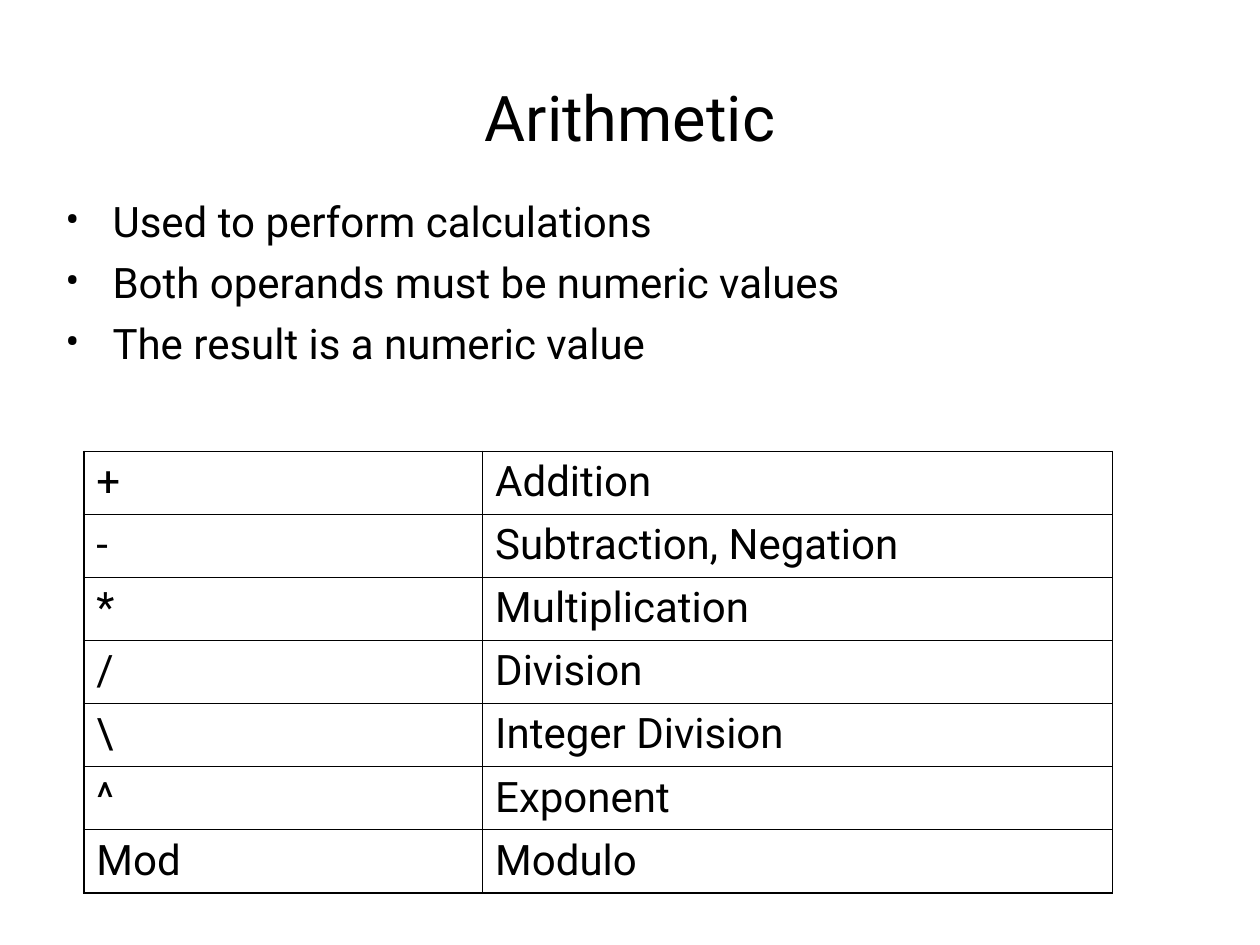
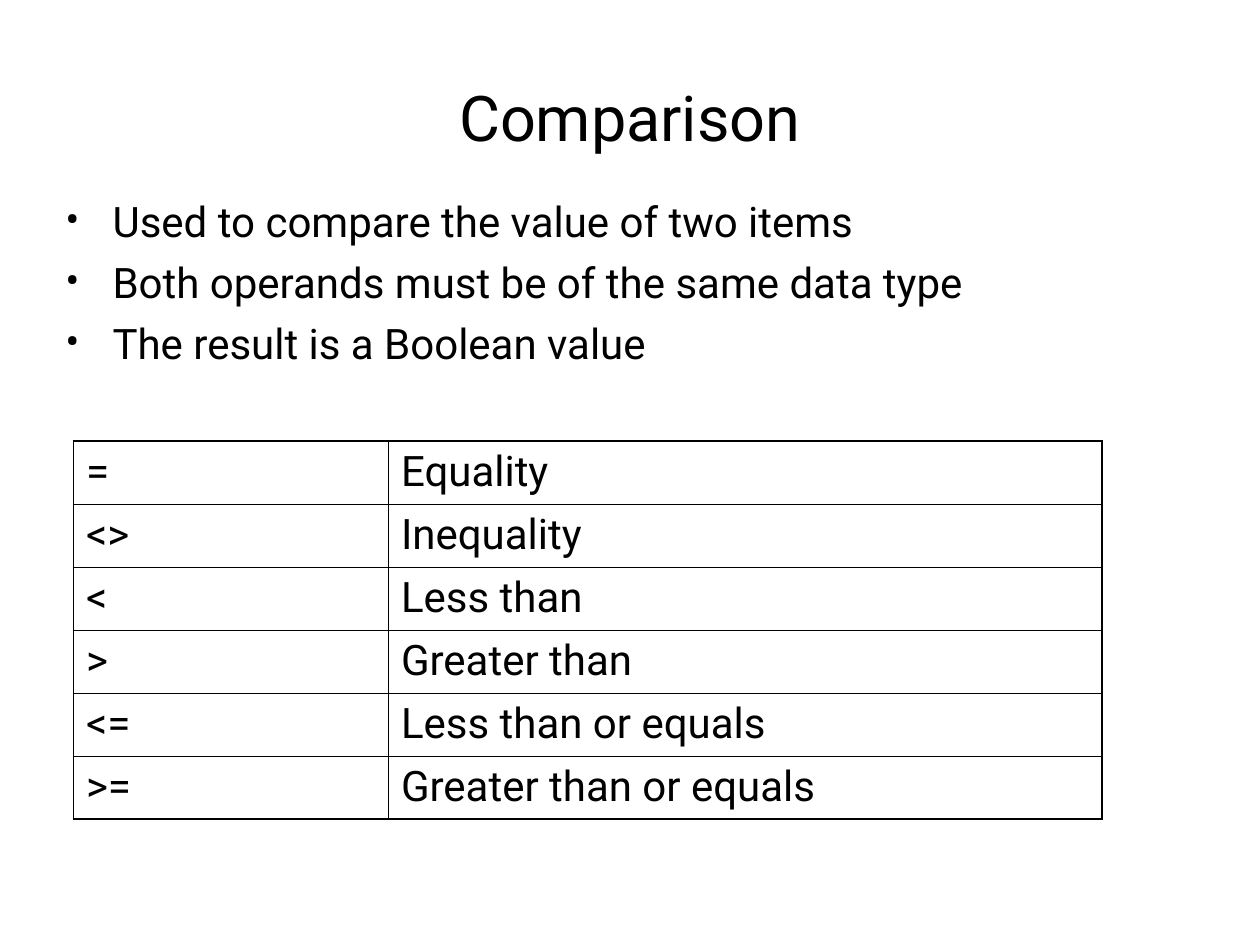
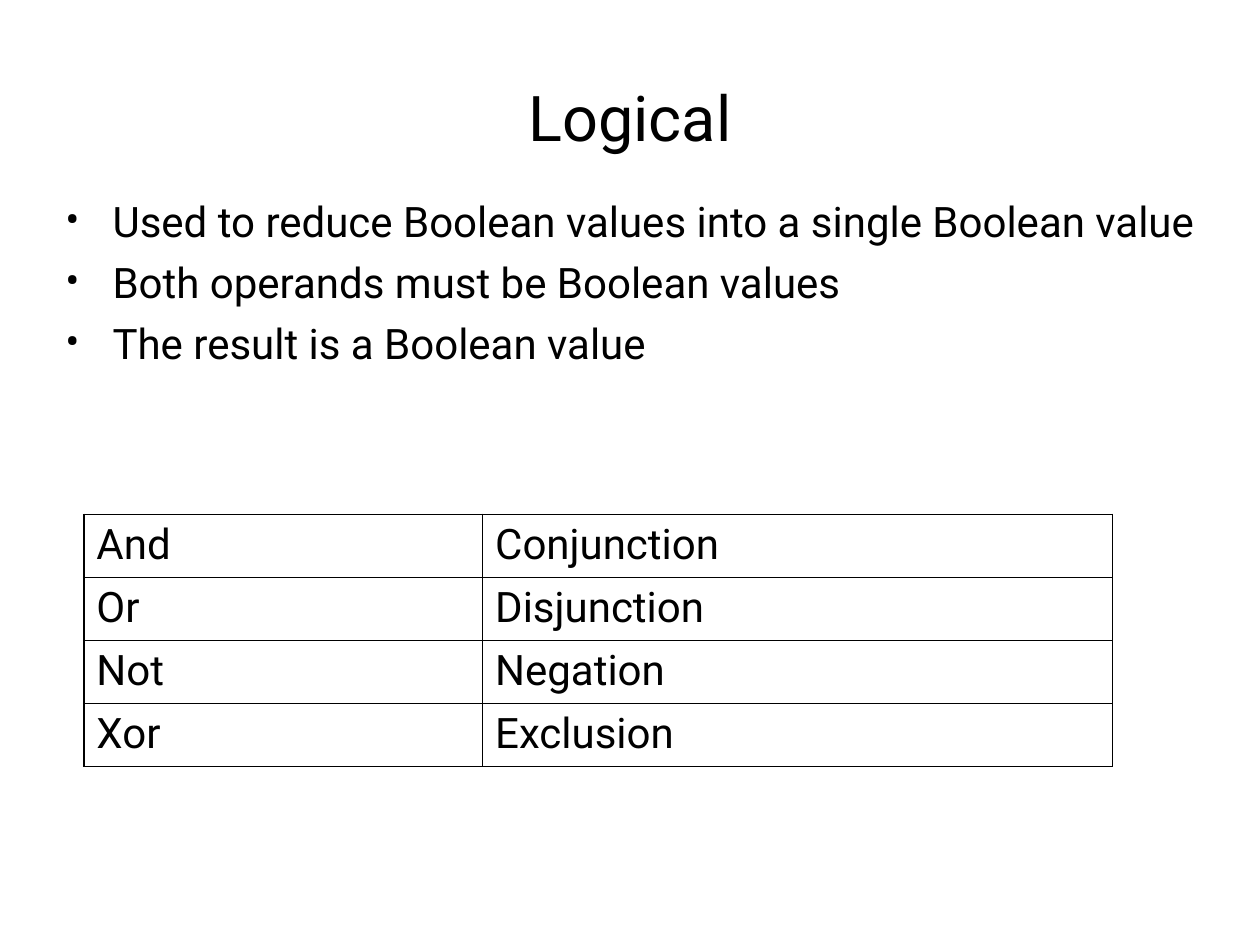
"""Build three slides on arithmetic, comparison and logical operators."""
from lxml.etree import SubElement as Sub
from pptx import Presentation as Deck
from pptx.dml.color import RGBColor as RGB
from pptx.enum.text import MSO_ANCHOR as Anchor, PP_ALIGN as Align
from pptx.oxml.ns import qn
from pptx.util import Cm, Pt

INK = RGB(0, 0, 0)
FONT = "Roboto"
WIDE = 20.74
ROW = 1.27
THIN, THICK = Pt(0.45), Pt(1.08)

TOPICS = [
    ("Arithmetic",
     ["Used to perform calculations",
      "Both operands must be numeric values",
      "The result is a numeric value"],
     (1.69, 9.1, 8.04),
     [*r"+-*/\^", "Mod"],
     ["Addition", "Subtraction, Negation", "Multiplication", "Division",
      "Integer Division", "Exponent", "Modulo"]),
    ("Comparison",
     ["Used to compare the value of two items",
      "Both operands must be of the same data type",
      "The result is a Boolean value"],
     (1.48, 8.89, 6.35),
     ["=", "<>", "<", ">", "<=", ">="],
     ["Equality", "Inequality", "Less than", "Greater than",
      "Less than or equals", "Greater than or equals"]),
    ("Logical",
     ["Used to reduce Boolean values into a single Boolean value",
      "Both operands must be Boolean values",
      "The result is a Boolean value"],
     (1.69, 10.37, 8.04),
     ["And", "Or", "Not", "Xor"],
     ["Conjunction", "Disjunction", "Negation", "Exclusion"]),
]


def style(para, size):
    for run in para.runs:
        run.font.name = FONT
        run.font.size = Pt(size)
        run.font.color.rgb = INK


def edge(cell, side, width):
    line = Sub(cell._tc.get_or_add_tcPr(), qn(f"a:ln{side}"), w=str(width))
    fill = Sub(line, qn("a:solidFill"))
    Sub(fill, qn("a:srgbClr"), val=str(INK))


deck = Deck()
deck.slide_width, deck.slide_height = Cm(25.4), Cm(19.05)

for title, points, (left, top, split), signs, names in TOPICS:
    slide = deck.slides.add_slide(deck.slide_layouts[6])

    head = slide.shapes.add_textbox(Cm(1.27), Cm(0.76), Cm(22.86), Cm(3.18)).text_frame
    head.word_wrap = True
    head.vertical_anchor = Anchor.MIDDLE
    head.text = title
    head.paragraphs[0].alignment = Align.CENTER
    style(head.paragraphs[0], 36)

    body = slide.shapes.add_textbox(Cm(1.07), Cm(3.81), Cm(23.29), Cm(5.72)).text_frame
    body.word_wrap = True
    body.text = "\n".join(points)
    for i, para in enumerate(body.paragraphs):
        para.space_before = Pt(6 if i else 0)
        props = para._p.get_or_add_pPr()
        props.set("marL", str(Cm(0.95)))
        props.set("indent", str(-Cm(0.95)))
        Sub(Sub(props, qn("a:buClr")), qn("a:srgbClr"), val=str(INK))
        Sub(props, qn("a:buFont"), typeface=FONT)
        Sub(props, qn("a:buChar"), char="•")
        style(para, 24)

    count = len(signs)
    grid = slide.shapes.add_table(
        count, 2, Cm(left), Cm(top), Cm(WIDE), Cm(ROW * count)).table
    grid.first_row = grid.horz_banding = False
    grid.columns[0].width = Cm(split)
    grid.columns[1].width = Cm(WIDE - split)
    for r, pair in enumerate(zip(signs, names)):
        grid.rows[r].height = Cm(ROW)
        for c, word in enumerate(pair):
            cell = grid.cell(r, c)
            cell.text = word
            style(cell.text_frame.paragraphs[0], 24)
            outer = {"L": c == 0, "R": c == 1, "T": r == 0, "B": r == count - 1}
            for side, out in outer.items():
                edge(cell, side, THICK if out else THIN)
            cell.fill.background()

deck.save("out.pptx")
